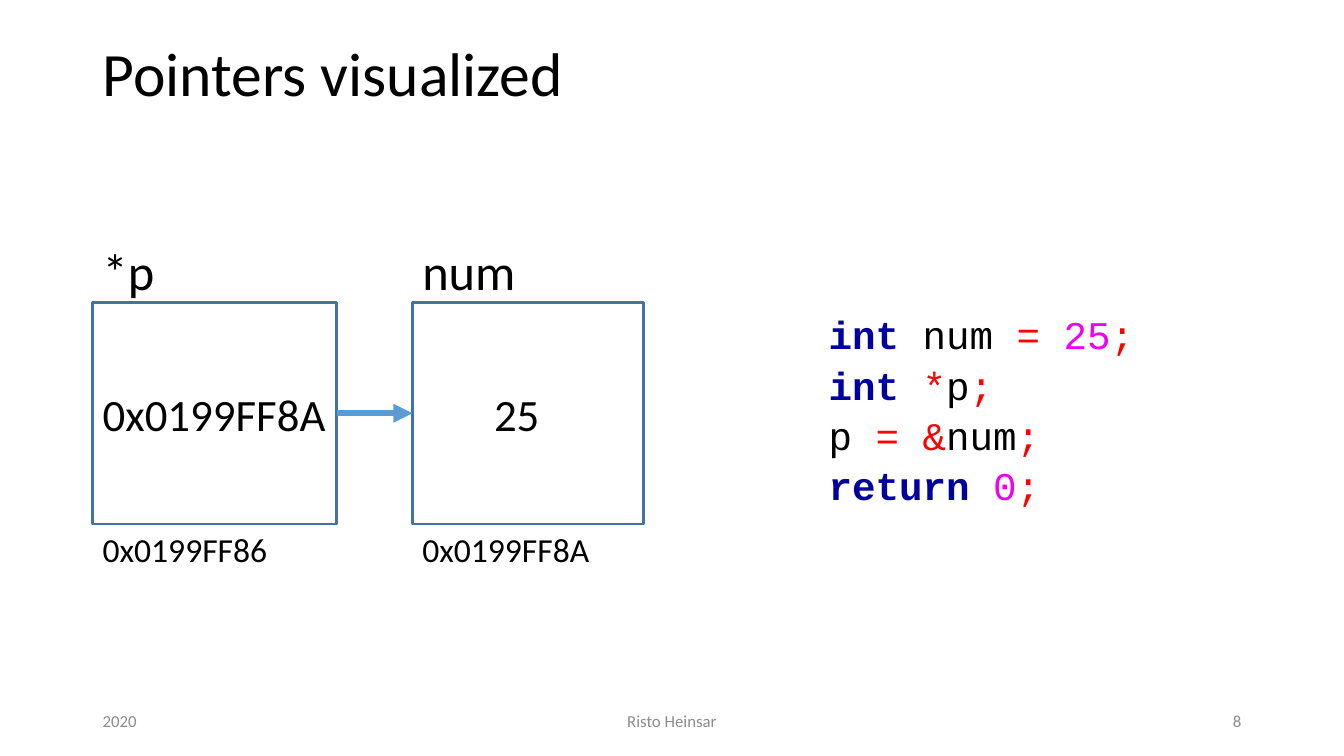
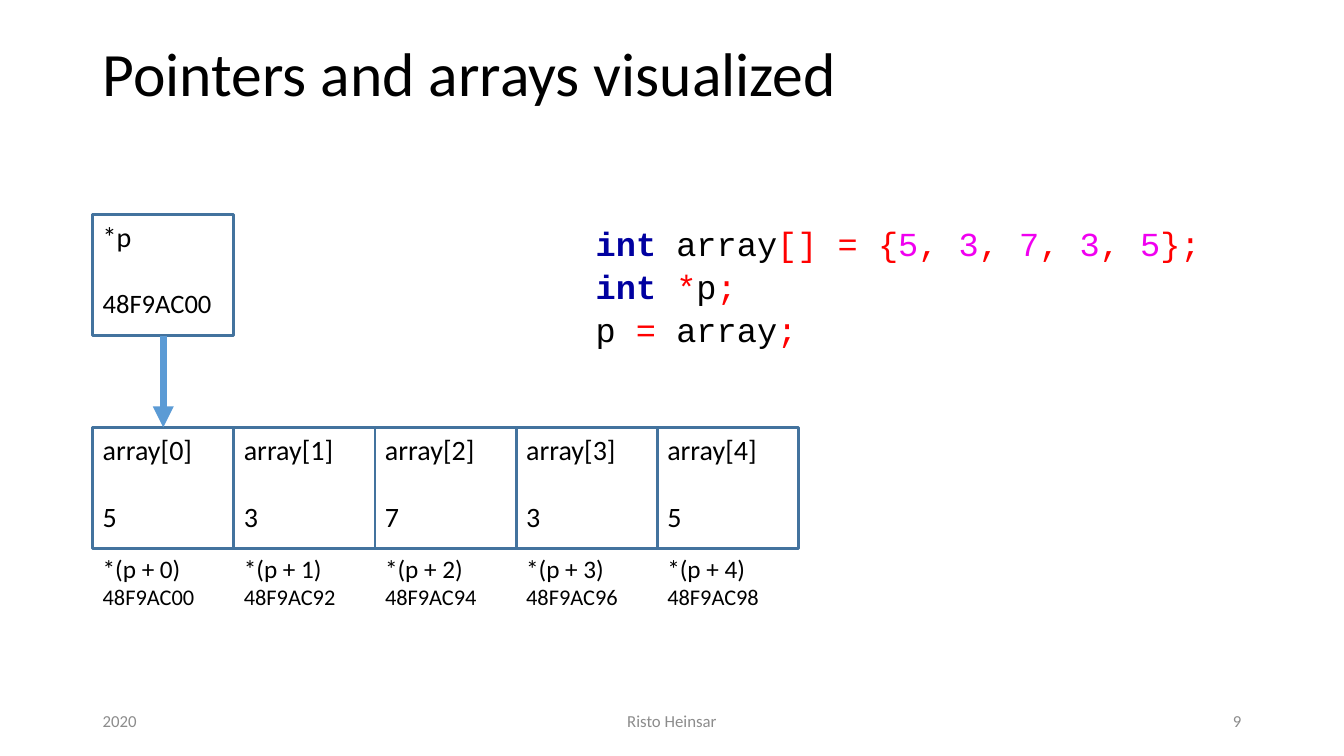
from lxml import etree
from pptx import Presentation
from pptx.dml.color import RGBColor
from pptx.enum.shapes import MSO_CONNECTOR, MSO_SHAPE
from pptx.enum.text import MSO_ANCHOR, MSO_AUTO_SIZE, PP_ALIGN
from pptx.oxml.ns import qn
from pptx.util import Inches, Pt

TITLES = ["Pointers visualized", "Pointers and arrays visualized"]
YEAR, AUTHOR, FIRST_NUMBER = "2020", "Risto Heinsar", 8

# left, width, name, name width, value, value inset, address
VARIABLES = [
    (0.92, 2.42, "*p", 0.72, "0x0199FF8A", 0.1, "0x0199FF86"),
    (4.09, 2.29, "num", 1.13, "25", 0.81, "0x0199FF8A"),
]
POINTER = ("*p", "48F9AC00")
ELEMENTS = [("5", "48F9AC00"), ("3", "48F9AC92"), ("7", "48F9AC94"),
            ("3", "48F9AC96"), ("5", "48F9AC98")]

# Tokens are separated by bars
POINTER_CODE = ["int |num |= |25|;", "int |*|p|;", "p |= &|num|;", "return |0|;"]
ARRAY_CODE = ["int |array|[] = {|5|, |3|, |7|, |3|, |5|};",
              "int |*|p|;", "p |= |array|;"]
KEYWORDS = ("int", "return")

BLACK, WHITE, GREY = "000000", "FFFFFF", "8C8C8C"
OUTLINE, ARROW = "43739E", "5B9BD5"
NAVY, MAGENTA, RED = "0000A0", "F000F0", "FF0000"
BODY, CODE = "Calibri", "Courier New"
LEFT = 0.92


def color(value):
    """Turn a hex string into a colour."""
    return RGBColor.from_string(value)


def add_span(para, text, size, hue=BLACK, font=BODY, bold=False):
    """Add one formatted run to a paragraph."""
    span = para.add_run()
    span.text = text
    for name, value in {"name": font, "size": Pt(size), "bold": bold}.items():
        setattr(span.font, name, value)
    span.font.color.rgb = color(hue)


def fill_frame(frame, lines, gap=0, align=PP_ALIGN.LEFT, line_spacing=None, **settings):
    """Write lines, each a list of span arguments, into a text frame."""
    defaults = {"word_wrap": True, "vertical_anchor": MSO_ANCHOR.TOP}
    for name, value in {**defaults, **settings}.items():
        setattr(frame, name, value)
    for index, spans in enumerate(lines):
        para = frame.add_paragraph() if index else frame.paragraphs[0]
        para.alignment = align
        if line_spacing:
            para.line_spacing = line_spacing
        if index and gap:
            para.space_before = Pt(gap)
        for span in spans:
            add_span(para, *span)


def add_text(page, at, lines, **settings):
    """Add a text box."""
    box = page.shapes.add_textbox(*map(Inches, at))
    fill_frame(box.text_frame, lines, **settings)


def add_label(page, at, lines):
    """Add an unwrapped label that fits its text."""
    add_text(page, at, lines, word_wrap=False,
             auto_size=MSO_AUTO_SIZE.SHAPE_TO_FIT_TEXT)


def add_cell(page, at, lines, **settings):
    """Add an outlined memory cell."""
    cell = page.shapes.add_shape(MSO_SHAPE.RECTANGLE, *map(Inches, at))
    cell.shadow.inherit = False
    cell.fill.solid()
    cell.fill.fore_color.rgb = color(WHITE)
    cell.line.color.rgb = color(OUTLINE)
    cell.line.width = Pt(2)
    fill_frame(cell.text_frame, lines, **settings)


def add_arrow(page, start, end, width):
    """Add a straight arrow between two points."""
    arrow = page.shapes.add_connector(MSO_CONNECTOR.STRAIGHT,
                                      *map(Inches, start + end))
    arrow.line.color.rgb = color(ARROW)
    arrow.line.width = Pt(width)
    properties = arrow._element.spPr
    etree.SubElement(properties.get_or_add_ln(), qn("a:tailEnd"), type="triangle")
    etree.SubElement(properties, qn("a:effectLst"))


def token_style(token):
    """Return the colour and weight of a code token."""
    word = token.strip()
    if word in KEYWORDS:
        return NAVY, True
    if word.isdigit():
        return MAGENTA, False
    return (BLACK if word.isalpha() else RED), False


def add_code(page, at, code, size, **settings):
    """Add a highlighted code listing."""
    lines = []
    for line in code:
        styled = [(token, *token_style(token)) for token in line.split("|")]
        lines.append([(token, size, hue, CODE, bold) for token, hue, bold in styled])
    add_text(page, at, lines, line_spacing=1.07,
             auto_size=MSO_AUTO_SIZE.SHAPE_TO_FIT_TEXT, **settings)


def add_page(deck, title, number):
    """Add a page with its title and footer."""
    page = deck.slides.add_slide(deck.slide_layouts[6])
    middle = {"vertical_anchor": MSO_ANCHOR.MIDDLE}
    add_text(page, (LEFT, 0.23, 11.5, 0.97), [[(title, 44)]], **middle)
    footers = [(LEFT, 3.58, YEAR, PP_ALIGN.LEFT),
               (5.08, 3.17, AUTHOR, PP_ALIGN.CENTER),
               (8.83, 3.58, str(number), PP_ALIGN.RIGHT)]
    for left, width, text, align in footers:
        add_text(page, (left, 6.95, width, 0.4), [[(text, 12, GREY)]],
                 align=align, **middle)
    return page


def draw_variables(page):
    """Draw a pointer, its target and their code."""
    top, height = 3, 2.2
    for left, width, name, name_width, value, inset, address in VARIABLES:
        add_cell(page, (left, top, width, height), [[(value, 32)]],
                 margin_left=Inches(inset), vertical_anchor=MSO_ANCHOR.MIDDLE)
        add_label(page, (left, top - 0.67, name_width, 0.71), [[(name, 36)]])
        add_label(page, (left, top + height, 1.86, 0.5), [[(address, 24)]])
    middle = top + height / 2
    pointer, target = VARIABLES
    add_arrow(page, (pointer[0] + pointer[1], middle), (target[0], middle), 4.5)
    add_code(page, (8.12, top, 3.26, 2.11), POINTER_CODE, 28, word_wrap=False)


def draw_array(page):
    """Draw a pointer to an array, its elements and their code."""
    width, height, pointer_top, array_top, gap = 1.4, 1.2, 2.13, 4.24, 24
    name, target = POINTER
    add_cell(page, (LEFT, pointer_top, width, height),
             [[(name, 20)], [(target, 19)]], gap=gap)
    for index, (value, address) in enumerate(ELEMENTS):
        left = LEFT + index * width
        add_cell(page, (left, array_top, width, height),
                 [[(f"array[{index}]", 20)], [(value, 20)]], gap=gap)
        add_label(page, (left, array_top + height, 1.12, 0.67),
                  [[(f"*(p + {index})", 18)], [(address, 16)]])
    middle = LEFT + width / 2
    add_arrow(page, (middle, pointer_top + height), (middle, array_top), 5)
    add_code(page, (5.81, pointer_top, 6.84, 1.39), ARRAY_CODE, 24)


deck = Presentation()
deck.slide_width, deck.slide_height = Inches(13.33), Inches(7.5)
for offset, (title, draw) in enumerate(zip(TITLES, (draw_variables, draw_array))):
    draw(add_page(deck, title, FIRST_NUMBER + offset))
deck.save("out.pptx")
